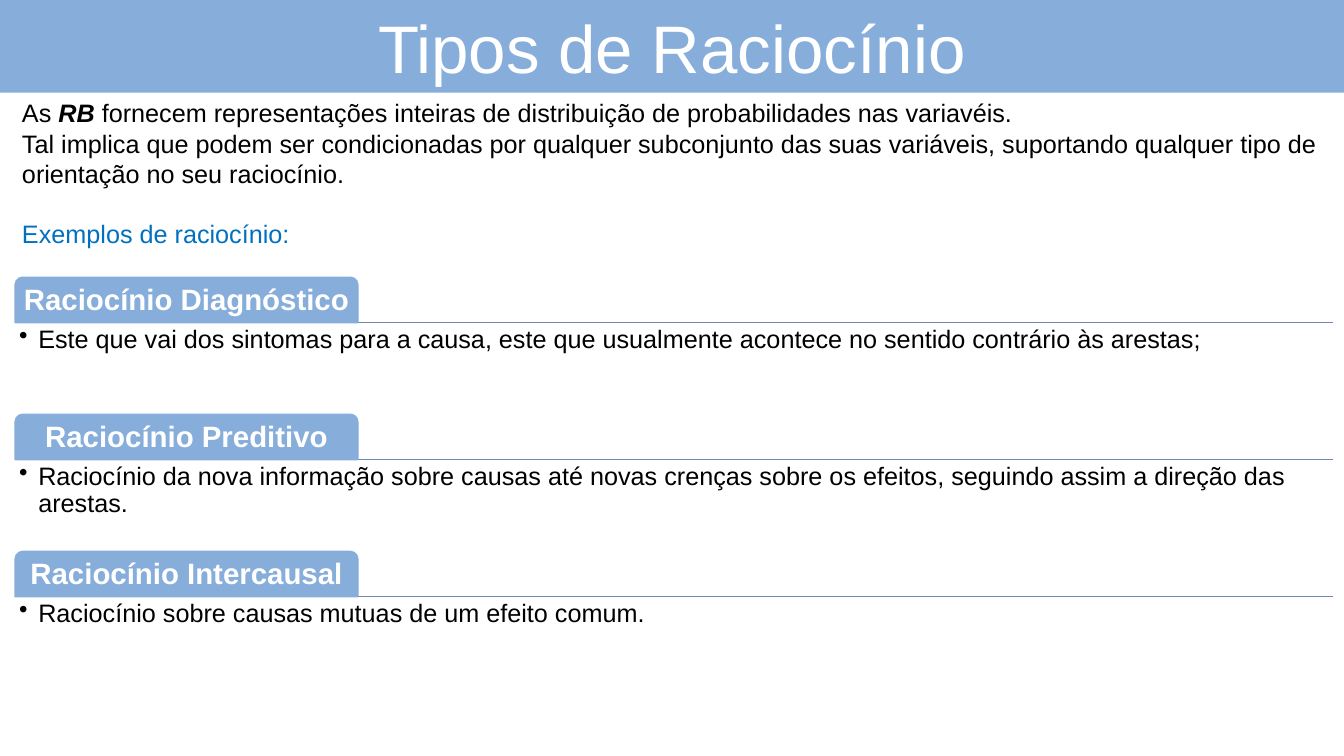
from lxml import etree
from pptx import Presentation
from pptx import util as u
from pptx.dml.color import RGBColor
from pptx.enum import shapes, text
from pptx.oxml import ns

hues = {"blue": "87ADDB", "rule": "6C8BAF", "link": "0070C0",
        "white": "FFFFFF", "black": "000000"}


def color(name):
    return RGBColor.from_string(hues[name])


def write(para, words, size=18, hue="black", bold=False, slant=False):
    run = para.add_run()
    run.text = words
    font = run.font
    font.name = "Arial"
    font.size = u.Pt(size)
    font.bold = bold
    font.italic = slant
    font.color.rgb = color(hue)


deck = Presentation()
deck.slide_width = u.Inches(13.33)
deck.slide_height = u.Inches(7.5)
wide = deck.slide_width
slide = deck.slides.add_slide(deck.slide_layouts[5])

bar = u.Inches(0.92)
title = slide.shapes.title
title.left, title.top, title.width, title.height = 0, 0, wide, bar
title.fill.solid()
title.fill.fore_color.rgb = color("blue")
frame = title.text_frame
frame.auto_size = text.MSO_AUTO_SIZE.NONE
frame.vertical_anchor = text.MSO_ANCHOR.MIDDLE
frame.paragraphs[0].alignment = text.PP_ALIGN.CENTER
write(frame.paragraphs[0], "Tipos de Raciocínio", size=48, hue="white")

intro = slide.shapes.add_textbox(u.Inches(0.12), bar, u.Inches(13.07), u.Inches(1.62))
frame = intro.text_frame
frame.word_wrap = True
para = frame.paragraphs[0]
write(para, "As ")
write(para, "RB ", bold=True, slant=True)
write(para, "fornecem representações inteiras de distribuição de probabilidades nas variavéis.")
write(frame.add_paragraph(),
      "Tal implica que podem ser condicionadas por qualquer subconjunto das suas variáveis, "
      "suportando qualquer tipo de orientação no seu raciocínio.")
para = frame.add_paragraph()
para.space_before = u.Pt(21)
write(para, "Exemplos de raciocínio:", hue="link")

kinds = [
    ("Raciocínio Diagnóstico",
     "Este que vai dos sintomas para a causa, este que usualmente acontece "
     "no sentido contrário às arestas;"),
    ("Raciocínio Preditivo",
     "Raciocínio da nova informação sobre causas até novas crenças sobre os efeitos, "
     "seguindo assim a direção das arestas."),
    ("Raciocínio Intercausal", "Raciocínio sobre causas mutuas de um efeito comum."),
]
left = u.Inches(0.15)
span = u.Inches(13.07)
tall = u.Inches(0.45)
first = u.Inches(3.2)
step = u.Inches(1.36)
pad = u.Inches(0.04)

for row, (name, note) in enumerate(kinds):
    base = first + row * step
    rule = slide.shapes.add_connector(
        shapes.MSO_CONNECTOR.STRAIGHT, left, base, left + span, base)
    rule.line.color.rgb = color("rule")
    rule.line.width = u.Pt(1)
    etree.SubElement(rule._element.spPr, ns.qn("a:effectLst"))

    tab = slide.shapes.add_shape(
        shapes.MSO_SHAPE.ROUND_2_SAME_RECTANGLE, left, base - tall, u.Inches(3.4), tall)
    tab.shadow.inherit = False
    tab.fill.solid()
    tab.fill.fore_color.rgb = color("blue")
    tab.line.color.rgb = color("blue")
    tab.line.width = u.Pt(1)

    body = slide.shapes.add_textbox(left, base, span, u.Inches(0.89))
    for box in (tab, body):
        frame = box.text_frame
        frame.word_wrap = True
        frame.margin_left = frame.margin_right = pad
        frame.margin_top = frame.margin_bottom = pad
        frame.paragraphs[0].line_spacing = 0.9

    tab.text_frame.vertical_anchor = text.MSO_ANCHOR.MIDDLE
    para = tab.text_frame.paragraphs[0]
    para.alignment = text.PP_ALIGN.CENTER
    write(para, name, size=21, hue="white", bold=True)

    para = body.text_frame.paragraphs[0]
    write(para, note)
    props = para._p.get_or_add_pPr()
    props.set("marL", str(u.Inches(0.19)))
    props.set("indent", str(-u.Inches(0.19)))
    etree.SubElement(props, ns.qn("a:buChar"), char="•")

deck.save("out.pptx")
